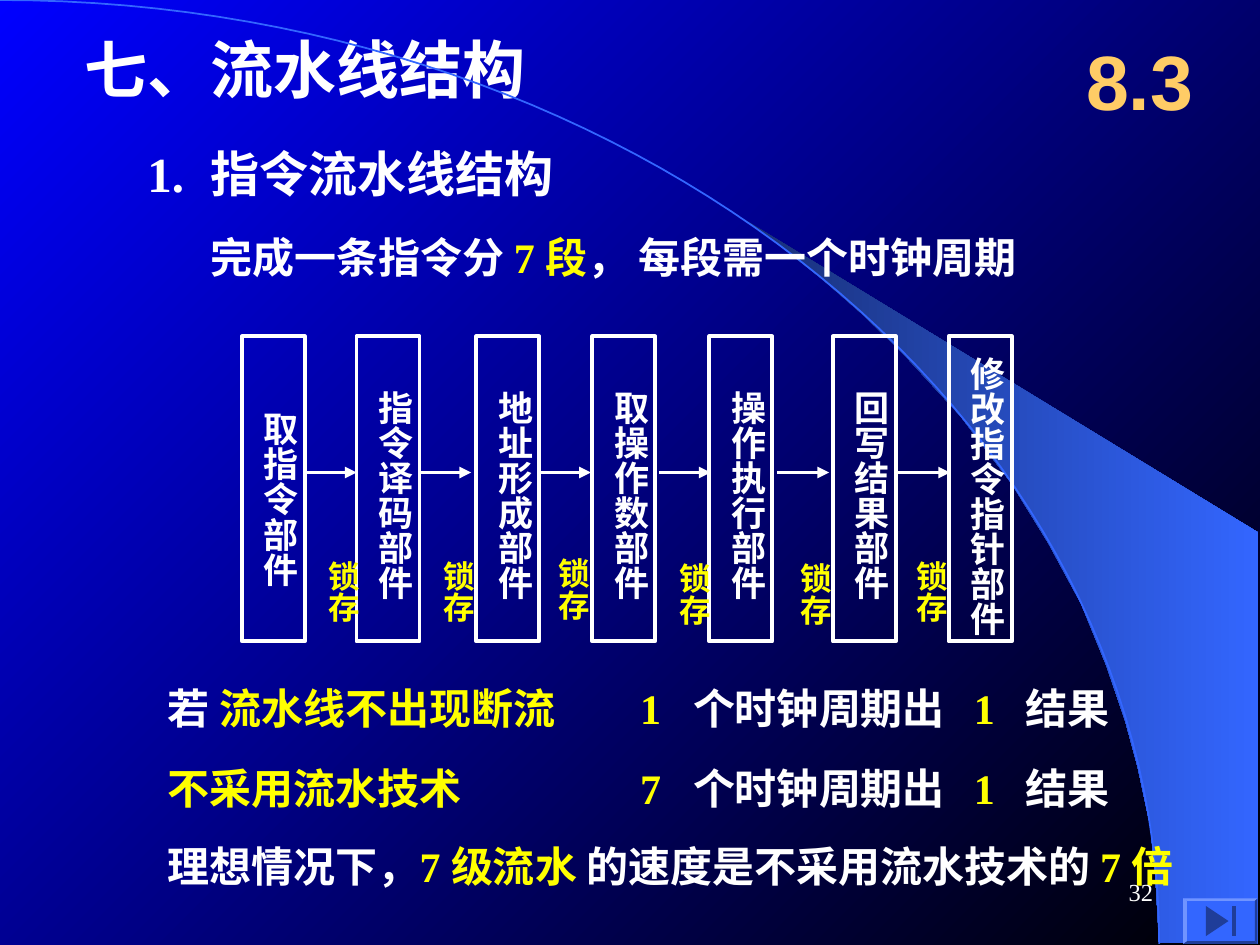
"""Build the slide on the instruction pipeline structure."""
from dataclasses import dataclass

from lxml import etree
from pptx import Presentation
from pptx.dml.color import RGBColor
from pptx.enum.shapes import MSO_CONNECTOR, MSO_SHAPE
from pptx.enum.text import MSO_ANCHOR, MSO_AUTO_SIZE, PP_ALIGN
from pptx.oxml.ns import qn
from pptx.util import Inches, Pt

STRAIGHT = MSO_CONNECTOR.STRAIGHT
RECTANGLE = MSO_SHAPE.RECTANGLE
MIDDLE = MSO_ANCHOR.MIDDLE
NO_AUTOFIT, GROW = MSO_AUTO_SIZE.NONE, MSO_AUTO_SIZE.SHAPE_TO_FIT_TEXT
LEFT, CENTER, RIGHT = PP_ALIGN.LEFT, PP_ALIGN.CENTER, PP_ALIGN.RIGHT


@dataclass(frozen=True)
class Theme:
    white: RGBColor = RGBColor(0xFF, 0xFF, 0xFF)
    yellow: RGBColor = RGBColor(0xFF, 0xFF, 0x00)
    gold: RGBColor = RGBColor(0xFF, 0xCC, 0x66)
    blue: RGBColor = RGBColor(0x00, 0x00, 0xFF)
    black: RGBColor = RGBColor(0x00, 0x00, 0x00)
    sky: RGBColor = RGBColor(0x33, 0x66, 0xFF)
    navy: RGBColor = RGBColor(0x18, 0x2F, 0x76)
    light: RGBColor = RGBColor(0x70, 0x94, 0xFF)
    shade: RGBColor = RGBColor(0x1F, 0x3D, 0x99)
    serif: str = "Times New Roman"
    sans: str = "Arial"
    title: int = 36
    section: int = 44
    heading: int = 28
    body: int = 24
    stage: int = 20
    latch: int = 18
    number: int = 14
    line: float = 2.25


T = Theme()


@dataclass(frozen=True)
class Span:
    text: str
    color: RGBColor = T.white


@dataclass(frozen=True)
class Line:
    left: float
    top: float
    width: float
    spans: tuple
    tabs: tuple = ()


@dataclass(frozen=True)
class Stage:
    name: str
    left: float
    label_top: float
    label_height: float


@dataclass(frozen=True)
class Latch:
    arrow_left: float
    left: float
    top: float


def result_line(top: float, cycles: str) -> Line:
    spans = (Span(f"{cycles}\t", T.yellow), Span("个时钟周期出\t"),
             Span("1\t", T.yellow), Span("结果"))
    return Line(5.08, top, 3.75, spans, (0.42, 2.65, 3.06))


TITLE = Line(0.67, 0.25, 5.9, (Span("七、流水线结构"),))
HEADING = Line(1.17, 1.08, 3.67, (Span("1.\t指令流水线结构"),), (0.58,))
LINES = (
    Line(1.67, 1.75, 7.17, (Span("完成一条指令分 "), Span("7 段", T.yellow),
                            Span("， 每段需一个时钟周期"))),
    Line(1.33, 5.33, 3.67, (Span("若 "), Span("流水线不出现断流", T.yellow))),
    result_line(5.33, "1"),
    Line(1.33, 5.96, 3.25, (Span("不采用流水技术", T.yellow),)),
    result_line(5.96, "7"),
    Line(1.33, 6.58, 8.33, (Span("理想情况下，"), Span("7 级流水 ", T.yellow),
                            Span("的速度是不采用流水技术的 "), Span("7 倍", T.yellow))),
)
STAGES = (
    Stage("取指令部件", 1.92, 3.17, 1.49),
    Stage("指令译码部件", 2.83, 3, 1.77),
    Stage("地址形成部件", 3.78, 3, 1.77),
    Stage("取操作数部件", 4.7, 3, 1.77),
    Stage("操作执行部件", 5.63, 3, 2.07),
    Stage("回写结果部件", 6.61, 3, 2.25),
    Stage("修改指令指针部件", 7.53, 2.73, 2.33),
)
LATCHES = (
    Latch(2.42, 2.42, 4.35), Latch(3.33, 3.34, 4.35), Latch(4.28, 4.25, 4.33),
    Latch(5.23, 5.21, 4.37), Latch(6.17, 6.17, 4.37), Latch(7.13, 7.09, 4.35),
)
CRESCENT = (
    (9.2, 7.48), (9.99, 7.49), (9.99, 4.23), (5.89, 1.73), (6.24, 1.99), (6.53, 2.22),
    (6.85, 2.5), (7.16, 2.8), (7.62, 3.3), (8.03, 3.84), (8.32, 4.31), (8.58, 4.79),
    (8.78, 5.28), (8.93, 5.72), (9.03, 6.09), (9.13, 6.56), (9.17, 6.96),
)
OUTER = ((9.39, 7.13), (9.98, 7.13), (9.98, 7.49), (9.39, 7.49))
INNER = ((9.42, 7.15), (9.96, 7.15), (9.96, 7.47), (9.42, 7.47))
BEVEL = (T.light, T.shade, T.shade, T.light)
ICON = (((9.75, 7.31), (9.57, 7.43), (9.57, 7.19)),
        ((9.78, 7.19), (9.78, 7.43), (9.81, 7.43), (9.81, 7.19)))


def place(sp, left: float, top: float, width: float, height: float) -> None:
    sp.left, sp.top, sp.width, sp.height = map(Inches, (left, top, width, height))


def set_gradient(fill, colors: tuple, angle: float) -> None:
    fill.gradient()
    fill.gradient_angle = angle
    for stop, color in zip(fill.gradient_stops, colors):
        stop.color.rgb = color


def add_outline(s, points: tuple, close: bool = True):
    (x, y), *rest = [(Inches(px), Inches(py)) for px, py in points]
    builder = s.shapes.build_freeform(x, y)
    builder.add_line_segments(rest, close=close)
    sp = builder.convert_to_shape()
    sp.shadow.inherit = False
    return sp


def add_polygon(s, points: tuple, color: RGBColor) -> None:
    sp = add_outline(s, points)
    sp.fill.solid()
    sp.fill.fore_color.rgb = color
    sp.line.fill.background()


def write(sp, spans: tuple, size: int, font: str = T.serif, bold: bool = True,
          align=LEFT, margins: tuple = (0, 0.05), tabs: tuple = (), wrap: bool = False) -> None:
    tf = sp.text_frame
    tf.auto_size, tf.word_wrap, tf.vertical_anchor = NO_AUTOFIT, wrap, MIDDLE
    tf.margin_left = tf.margin_right = Inches(margins[0])
    tf.margin_top = tf.margin_bottom = Inches(margins[1])
    p = tf.paragraphs[0]
    p.alignment = align
    if tabs:
        tab_list = etree.SubElement(p._p.get_or_add_pPr(), qn("a:tabLst"))
        for pos in tabs:
            etree.SubElement(tab_list, qn("a:tab"), pos=str(Inches(pos)), algn="l")
    for span in spans:
        r = p.add_run()
        r.text = span.text
        r.font.name, r.font.size, r.font.bold = font, Pt(size), bold
        r.font.color.rgb = span.color


def add_box(s, left: float, top: float, width: float, height: float):
    return s.shapes.add_textbox(*map(Inches, (left, top, width, height)))


def fill_line(sp, line: Line, size: int) -> None:
    place(sp, line.left, line.top, line.width, 0.58)
    write(sp, line.spans, size, tabs=line.tabs)


def add_vertical(s, left: float, top: float, width: float, height: float,
                 span: Span, size: int) -> None:
    sp = add_box(s, left, top, width, height)
    write(sp, (span,), size, align=CENTER, margins=(0.05, 0.1))
    sp.text_frame.vertical_anchor = MSO_ANCHOR.TOP
    sp.text_frame.auto_size = GROW
    sp.element.txBody.bodyPr.set("vert", "eaVert")


def add_stage(s, stage: Stage) -> None:
    add_vertical(s, stage.left - 0.01, stage.label_top, 0.53, stage.label_height,
                 Span(stage.name), T.stage)
    sp = s.shapes.add_shape(RECTANGLE, *map(Inches, (stage.left, 2.67, 0.5, 2.42)))
    sp.shadow.inherit = False
    sp.fill.background()
    sp.line.color.rgb, sp.line.width = T.white, Pt(T.line)


def add_latch(s, latch: Latch) -> None:
    x, y = latch.arrow_left, 3.75
    sp = s.shapes.add_connector(STRAIGHT, *map(Inches, (x, y, x + 0.41, y)))
    sp.line.color.rgb, sp.line.width = T.white, Pt(T.line)
    etree.SubElement(sp.line._get_or_add_ln(), qn("a:tailEnd"), type="triangle")
    etree.SubElement(sp.element.spPr, qn("a:effectLst"))
    add_vertical(s, latch.left, latch.top, 0.5, 0.6, Span("锁存", T.yellow), T.latch)


def add_backdrop(s) -> None:
    set_gradient(s.background.fill, (T.blue, T.black), 315)
    sp = add_outline(s, CRESCENT)
    set_gradient(sp.fill, (T.navy, T.sky), 0)
    sp.line.fill.background()
    steps = [i / 60 for i in range(61)]
    arc = tuple((3 * (1 - t) ** 2 * t * 5.08 + 3 * (1 - t) * t ** 2 * 9.2 + t ** 3 * 9.2,
                 3 * (1 - t) * t ** 2 * 3.35 + t ** 3 * 7.49) for t in steps)
    sp = add_outline(s, arc, close=False)
    sp.fill.background()
    sp.line.color.rgb, sp.line.width = T.sky, Pt(1)


def add_button(s) -> None:
    add_polygon(s, OUTER, T.sky)
    for i, color in enumerate(BEVEL):
        j = (i + 1) % 4
        add_polygon(s, (OUTER[i], OUTER[j], INNER[j], INNER[i]), color)
    for points in ICON:
        add_polygon(s, points, T.shade)


def main() -> None:
    prs = Presentation()
    prs.slide_width, prs.slide_height = Inches(10), Inches(7.5)
    s = prs.slides.add_slide(prs.slide_layouts[1])
    add_backdrop(s)
    fill_line(s.shapes.title, TITLE, T.title)
    body = s.placeholders[1]
    p = body.text_frame.paragraphs[0]
    p.space_before = Pt(0)
    pPr = p._p.get_or_add_pPr()
    pPr.set("marL", "0")
    pPr.set("indent", "0")
    etree.SubElement(pPr, qn("a:buNone"))
    fill_line(body, HEADING, T.heading)
    for line in LINES:
        fill_line(add_box(s, 0, 0, 1, 1), line, T.body)
    for stage in STAGES:
        add_stage(s, stage)
    for latch in LATCHES:
        add_latch(s, latch)
    write(add_box(s, 8.42, 0.17, 1.25, 0.92), (Span("8.3", T.gold),), T.section,
          font=T.sans, align=CENTER, margins=(0.1, 0.05), wrap=True)
    add_button(s)
    write(add_box(s, 7.17, 6.83, 2.08, 0.5), (Span("32"),), T.number,
          bold=False, align=RIGHT, margins=(0.1, 0.05), wrap=True)
    prs.save("out.pptx")


if __name__ == "__main__":
    main()
